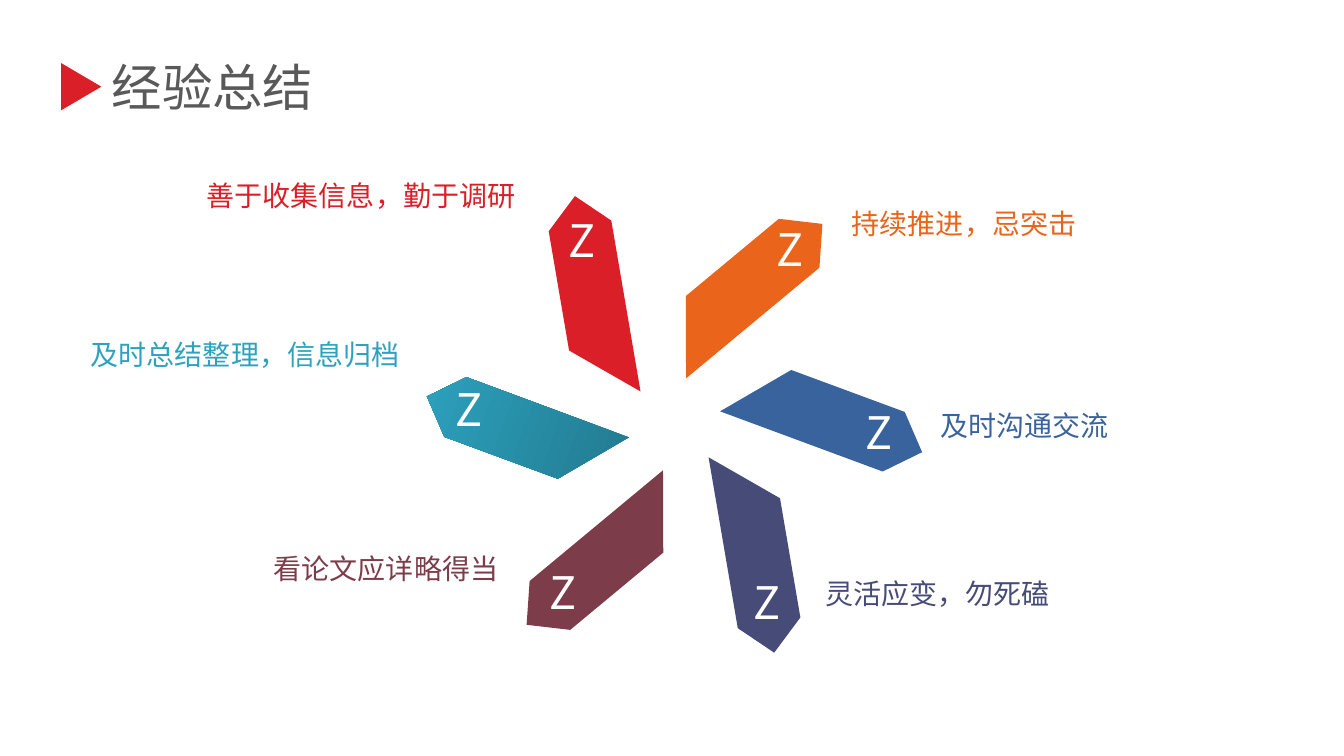
import math
from dataclasses import dataclass

from lxml import etree
from pptx import Presentation
from pptx import util as u
from pptx.dml.color import RGBColor
from pptx.enum import shapes, text
from pptx.oxml.ns import qn


@dataclass(frozen=True)
class Theme:
    font: str = "Noto Sans CJK SC"
    title_size: int = 36
    letter_size: int = 32
    label_size: int = 20
    title: str = "595959"
    letter: str = "FFFFFF"
    teal: str = "2DA2BF"
    teal_dark: str = "227A8F"
    red: str = "DA1F28"
    orange: str = "EB641B"
    blue: str = "39639D"
    navy: str = "474B78"
    maroon: str = "7D3C4A"


class SlideBuilder:
    def __init__(self, s, theme):
        self.s = s
        self.theme = theme

    def paint(self, sp, color, rotation):
        sp.shadow.inherit = False
        sp.line.fill.background()
        sp.rotation = rotation
        sp.fill.solid()
        sp.fill.fore_color.rgb = RGBColor.from_string(color)

    def text(self, x, y, w, h, words, size, color,
             align=text.PP_ALIGN.LEFT, wrap=True):
        tb = self.s.shapes.add_textbox(*map(u.Inches, (x, y, w, h)))
        tf = tb.text_frame
        tf.text = words
        tf.word_wrap = wrap
        tf.auto_size = text.MSO_AUTO_SIZE.SHAPE_TO_FIT_TEXT
        p = tf.paragraphs[0]
        p.alignment = align
        r = p.runs[0]
        r.font.size = u.Pt(size)
        r.font.color.rgb = RGBColor.from_string(color)
        r.font.name = self.theme.font
        ea = etree.SubElement(r.font._element, qn("a:ea"))
        ea.set("typeface", self.theme.font)

    def triangle(self, x, y, w, h, color, rotation):
        sp = self.s.shapes.add_shape(shapes.MSO_SHAPE.ISOSCELES_TRIANGLE,
                                     *map(u.Inches, (x, y, w, h)))
        self.paint(sp, color, rotation)

    def petal(self, cx, cy, color, rotation, tail_color=None):
        w, h = 2.02, 0.63
        outline = [(0, h), (1.72, h), (w, h / 2), (1.72, 0), (0.52, 0)]
        points = [(u.Inches(x), u.Inches(y)) for x, y in outline]
        builder = self.s.shapes.build_freeform(*points[0])
        builder.add_line_segments(points[1:], close=True)
        sp = builder.convert_to_shape(u.Inches(cx - w / 2),
                                      u.Inches(cy - h / 2))
        self.paint(sp, color, rotation)
        if tail_color:
            sp.fill.gradient()
            sp.fill.gradient_angle = 0
            for stop, c in zip(sp.fill.gradient_stops, (tail_color, color)):
                stop.color.rgb = RGBColor.from_string(c)


def main():
    prs = Presentation()
    prs.slide_width, prs.slide_height = u.Inches(13.33), u.Inches(7.5)
    t = Theme()
    b = SlideBuilder(prs.slides.add_slide(prs.slide_layouts[6]), t)
    left, right = text.PP_ALIGN.LEFT, text.PP_ALIGN.RIGHT

    # Title with its marker
    b.text(1.01, 0.51, 3.26, 0.7, "经验总结", t.title_size, t.title)
    b.triangle(0.57, 0.66, 0.47, 0.4, t.red, 90)

    # Petals clockwise from the left: colour, label, its place, letter place
    petals = [
        (t.teal, "及时总结整理，信息归档", (0.54, 3.3), right, (4.41, 3.74)),
        (t.red, "善于收集信息，勤于调研", (1.69, 1.72), right, (5.53, 2.06)),
        (t.orange, "持续推进，忌突击", (8.35, 2), left, (7.6, 2.15)),
        (t.blue, "及时沟通交流", (9.23, 4), left, (8.48, 3.97)),
        (t.navy, "灵活应变，勿死磕", (8.09, 5.67), left, (7.37, 5.65)),
        (t.maroon, "看论文应详略得当", (1.52, 5.42), right, (5.34, 5.55)),
    ]
    hub_x, hub_y, radius = 6.69, 4.21, 1.51
    for i, (color, label, label_at, align, letter_at) in enumerate(petals):
        rotation = (200.3 + 360 / len(petals) * i) % 360
        angle = math.radians(rotation - 23.1)
        b.petal(hub_x + radius * math.cos(angle),
                hub_y + radius * math.sin(angle), color, rotation,
                t.teal_dark if color == t.teal else None)
        b.text(*label_at, 3.52, 0.44, label, t.label_size, color, align)
        b.text(*letter_at, 0.48, 0.64, "Z", t.letter_size, t.letter,
               text.PP_ALIGN.CENTER, wrap=False)

    prs.save("out.pptx")


if __name__ == "__main__":
    main()
